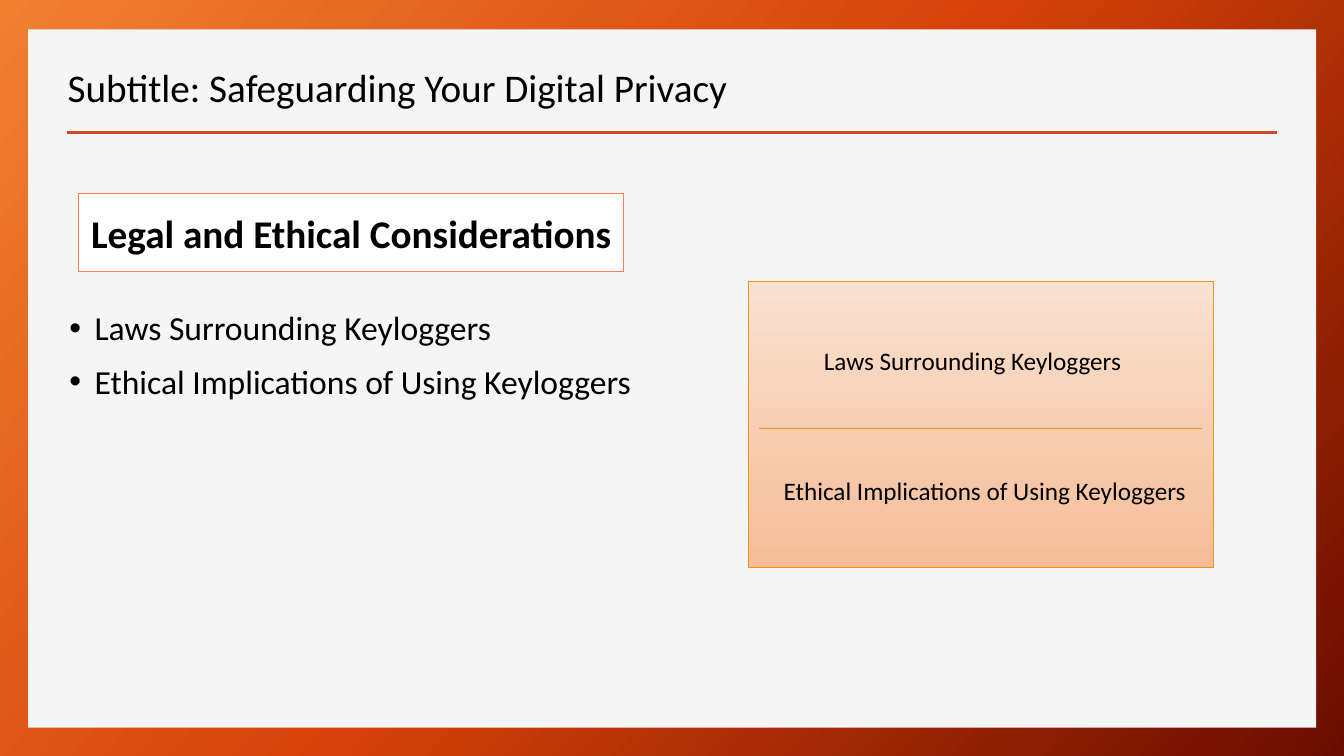
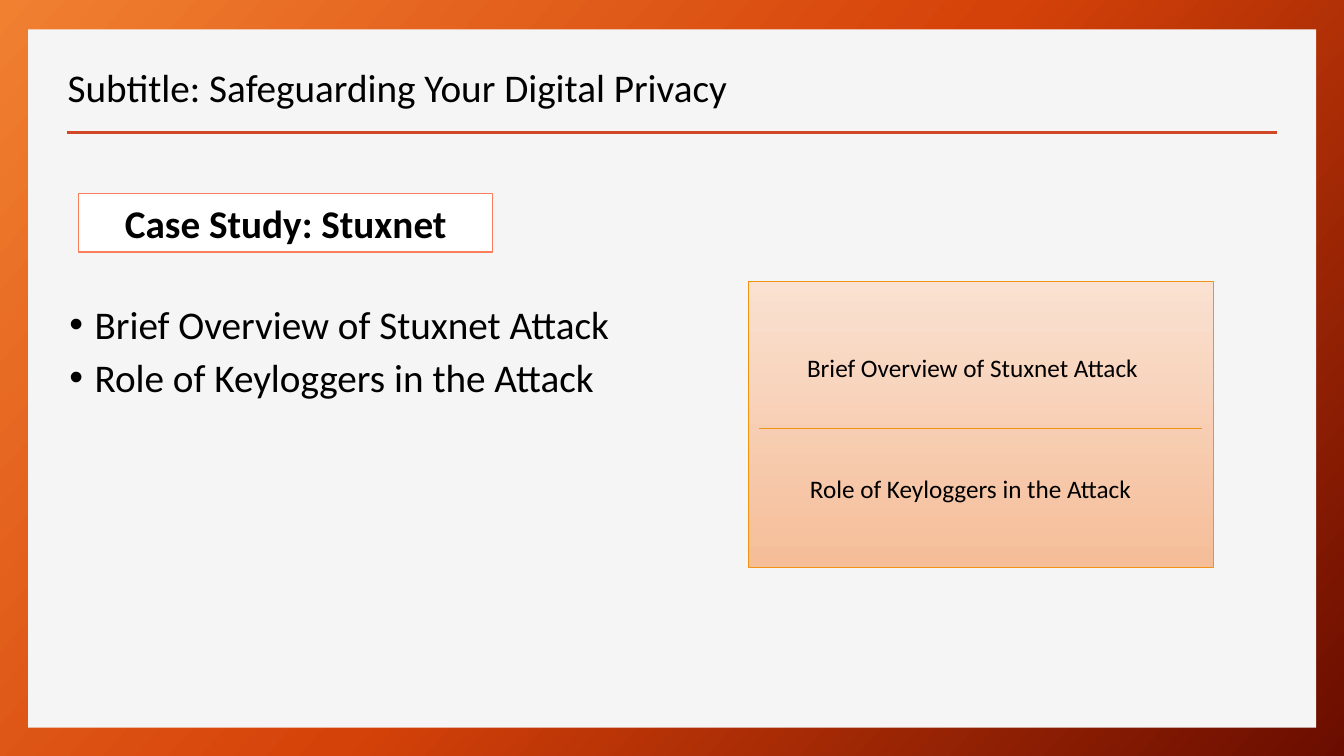
import copy

import pptx
import pptx.dml.color
import pptx.enum.shapes
import pptx.enum.text
import pptx.oxml.ns
import pptx.oxml.xmlchemy
import pptx.util

Cm, Pt = pptx.util.Cm, pptx.util.Pt
PP_ALIGN = pptx.enum.text.PP_ALIGN
ANCHOR = pptx.enum.text.MSO_ANCHOR
new_element = pptx.oxml.xmlchemy.OxmlElement
FONT = "Calibri"
TITLE = "Subtitle: Safeguarding Your Digital Privacy"
COLORS = {
    "text": "000000",
    "panel": "F5F5F5",
    "rule": "D24726",
    "heading": "FFFFFF",
    "heading_line": "FA7E5C",
    "card_line": "F09415",
}
FRAME_STOPS = [(0, "F18031"), (0.5, "D54209"), (1, "6A0D00")]
CARD_STOPS = [(0, "FAE1D1"), (1, "F5BD98")]


def rgb(name):
    """Return the named colour."""
    return pptx.dml.color.RGBColor.from_string(COLORS[name])


def paint_gradient(fill, element, stops, angle):
    """Fill an element with a linear gradient turning clockwise by angle."""
    fill.gradient()
    stop_list = element.find(".//" + pptx.oxml.ns.qn("a:gsLst"))
    while len(stop_list) < len(stops):
        stop_list.append(copy.deepcopy(stop_list[-1]))
    for stop, (position, color) in zip(fill.gradient_stops, stops):
        stop.position = position
        stop.color.rgb = pptx.dml.color.RGBColor.from_string(color)
    fill.gradient_angle = 360 - angle


def add_box(slide, left, top, width, height, fill=None, line=None, weight=1):
    """Add a flat rectangle."""
    box = slide.shapes.add_shape(
        pptx.enum.shapes.MSO_SHAPE.RECTANGLE, Cm(left), Cm(top), Cm(width), Cm(height)
    )
    box.shadow.inherit = False
    if fill:
        box.fill.solid()
        box.fill.fore_color.rgb = rgb(fill)
    if line:
        box.line.color.rgb = rgb(line)
        box.line.width = Pt(weight)
    else:
        box.line.fill.background()
    return box


def add_rule(slide, left, right, y, color, weight):
    """Add a flat horizontal line."""
    rule = slide.shapes.add_connector(
        pptx.enum.shapes.MSO_CONNECTOR.STRAIGHT, Cm(left), Cm(y), Cm(right), Cm(y)
    )
    rule.line.color.rgb = rgb(color)
    rule.line.width = Pt(weight)
    properties = rule.element.find(pptx.oxml.ns.qn("p:spPr"))
    properties.append(new_element("a:effectLst"))


def style(paragraph, size, align=PP_ALIGN.LEFT, bold=False):
    """Set the alignment and font of a paragraph."""
    paragraph.alignment = align
    font = paragraph.font
    font.name, font.size, font.bold = FONT, Pt(size), bold
    font.color.rgb = rgb("text")


def add_text(slide, left, top, width, height):
    """Add a wrapping text box and return its frame."""
    frame = slide.shapes.add_textbox(Cm(left), Cm(top), Cm(width), Cm(height)).text_frame
    frame.word_wrap = True
    return frame


def add_titled_slide(deck):
    """Add a slide with the shared frame, panel, title and rule."""
    slide = deck.slides.add_slide(deck.slide_layouts.get_by_name("Title Only"))
    paint_gradient(slide.background.fill, slide.element, FRAME_STOPS, 42)
    title = slide.shapes.title
    title.left, title.top, title.width, title.height = Cm(1.45), Cm(1.25), Cm(19.1), Cm(2.03)
    title.text_frame.text = TITLE
    title.text_frame.vertical_anchor = ANCHOR.MIDDLE
    title.text_frame.paragraphs[0].line_spacing = 0.9
    style(title.text_frame.paragraphs[0], 28)
    panel = add_box(slide, 0.71, 0.74, 32.46, 17.6, "panel")
    title.element.addprevious(panel.element)
    add_rule(slide, 1.68, 32.18, 3.33, "rule", 2)
    return slide


def add_heading(slide, text, width, height):
    """Add the boxed topic heading."""
    heading = add_box(slide, 1.98, 4.88, width, height, "heading", "heading_line")
    frame = heading.text_frame
    frame.text = text
    frame.vertical_anchor = ANCHOR.MIDDLE
    style(frame.paragraphs[0], 28, PP_ALIGN.CENTER, True)


def add_bullets(slide, points, size):
    """Add the bulleted list of points."""
    frame = add_text(slide, 1.5, 8, 15.95, 4.34)
    frame.text = "\n".join(points)
    for paragraph in frame.paragraphs:
        properties = paragraph._p.get_or_add_pPr()
        properties.set("marL", str(Pt(18)))
        properties.set("indent", str(-Pt(18)))
        bullet_font = new_element("a:buFont")
        bullet_font.set("typeface", "Arial")
        bullet = new_element("a:buChar")
        bullet.set("char", "•")
        properties.extend([bullet_font, bullet])
        paragraph.line_spacing = Pt(18)
        paragraph.space_after = Pt(20)
        style(paragraph, size)


def add_card(slide, points, centers):
    """Add the divided card with one label around each center."""
    card = add_box(slide, 18.87, 7.09, 11.71, 7.21, line="card_line", weight=0.75)
    paint_gradient(card.fill, card.element, CARD_STOPS, 90)
    add_rule(slide, 19.13, 30.3, 10.8, "card_line", 0.75)
    width, height = 10.8, 1.02
    for point, (x, y) in zip(points, centers):
        label = add_text(slide, x - width / 2, y - height / 2, width, height)
        label.text = point
        label.vertical_anchor = ANCHOR.MIDDLE
        style(label.paragraphs[0], 18, PP_ALIGN.CENTER)


def add_topic(deck, heading, heading_size, points, point_size, centers):
    """Add a topic slide with its heading, points and card."""
    slide = add_titled_slide(deck)
    add_bullets(slide, points, point_size)
    add_heading(slide, heading, *heading_size)
    add_card(slide, points, centers)


def main():
    """Build and save the presentation."""
    deck = pptx.Presentation()
    deck.slide_width, deck.slide_height = Cm(33.87), Cm(19.05)
    add_topic(
        deck,
        "Legal and Ethical Considerations",
        (13.74, 1.96),
        ["Laws Surrounding Keyloggers", "Ethical Implications of Using Keyloggers"],
        24,
        [(24.51, 9.09), (24.82, 12.35)],
    )
    add_topic(
        deck,
        "Case Study: Stuxnet",
        (10.44, 1.47),
        ["Brief Overview of Stuxnet Attack", "Role of Keyloggers in the Attack"],
        28,
        [(24.51, 9.27), (24.46, 12.32)],
    )
    deck.save("out.pptx")


if __name__ == "__main__":
    main()
